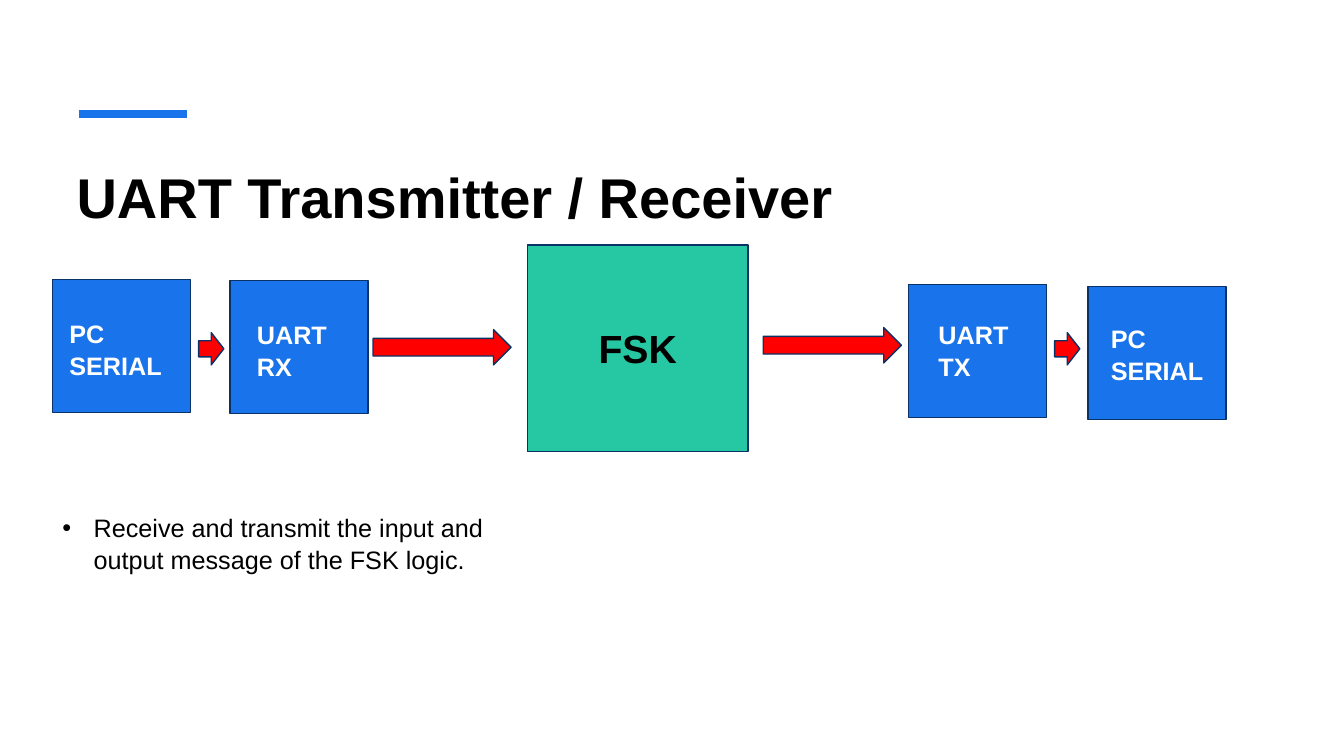
import pptx
import pptx.util
import pptx.dml.color
import pptx.enum.shapes
import pptx.enum.text
import pptx.oxml.ns
from lxml import etree

PX = 9144  # EMU, 100 px to the inch
FONT = "Arial"
COLORS = {
    "blue": "1973EB", "green": "25C8A2", "red": "FF0000",
    "outline": "0B3267", "black": "000000", "white": "FFFFFF",
}
SLIDE_SIZE = (1333, 750)
TITLE = "UART Transmitter / Receiver"
BULLET = "Receive and transmit the input and output message of the FSK logic."
BULLET_INDENT = 31

BLOCK_SIZE = (137, 132)
LABEL_SIZE = (120, 71)
# block left and top, label left and top, label lines
BLOCKS = [
    ((52, 277), (59, 309), ["PC", "SERIAL"]),
    ((228, 278), (245, 310), ["UART", "RX"]),
    ((901, 282), (921, 310), ["UART", "TX"]),
    ((1079, 284), (1092, 314), ["PC", "SERIAL"]),
]
FSK_BOX = (523, 243, 219, 205)
SHORT_ARROW = (25, 32)
LONG_ARROW = (137, 35)
ARROWS = [
    ((197, 330), SHORT_ARROW),
    ((370, 327), LONG_ARROW),
    ((757, 325), LONG_ARROW),
    ((1046, 330), SHORT_ARROW),
]

TITLE_STYLE = {"size": 40, "bold": True, "color": "black"}
LABEL_STYLE = {"size": 18, "bold": True, "color": "white"}
FSK_STYLE = {"size": 28, "bold": True, "color": "black"}
BODY_STYLE = {"size": 18, "bold": False, "color": "black"}


def rgb(name):
    return pptx.dml.color.RGBColor.from_string(COLORS[name])


def emu(lengths):
    return [length * PX for length in lengths]


def write_lines(frame, lines, style, paragraph_format):
    for index, line in enumerate(lines):
        paragraph = frame.paragraphs[0] if index == 0 else frame.add_paragraph()
        for name, value in paragraph_format.items():
            setattr(paragraph, name, value)
        run = paragraph.add_run()
        run.text = line
        font_format = {
            "name": FONT,
            "size": pptx.util.Pt(style["size"]),
            "bold": style["bold"],
        }
        for name, value in font_format.items():
            setattr(run.font, name, value)
        run.font.color.rgb = rgb(style["color"])


def add_text(slide, box, lines, style, line_spacing=1.0, left_inset=10, top_inset=5):
    frame = slide.shapes.add_textbox(*emu(box)).text_frame
    frame_format = {
        "word_wrap": True,
        "margin_left": left_inset * PX,
        "margin_top": top_inset * PX,
    }
    for name, value in frame_format.items():
        setattr(frame, name, value)
    write_lines(frame, lines, style, {"line_spacing": line_spacing})
    return frame


def add_preset(slide, kind, box, fill):
    preset = getattr(pptx.enum.shapes.MSO_SHAPE, kind)
    shape = slide.shapes.add_shape(preset, *emu(box))
    shape.shadow.inherit = False
    shape.fill.solid()
    shape.fill.fore_color.rgb = rgb(fill)
    shape.line.color.rgb = rgb("outline")
    shape.line.width = pptx.util.Pt(1)
    return shape


def add_accent_line(slide):
    line = slide.shapes.add_connector(
        pptx.enum.shapes.MSO_CONNECTOR.STRAIGHT, *emu((78, 113, 185, 113)))
    line.line.color.rgb = rgb("blue")
    line.line.width = pptx.util.Pt(6)
    etree.SubElement(line._element.spPr, pptx.oxml.ns.qn("a:effectLst"))


def add_bullet(paragraph):
    properties = paragraph._p.get_or_add_pPr()
    properties.set("marL", str(BULLET_INDENT * PX))
    properties.set("indent", str(-BULLET_INDENT * PX))
    font = etree.SubElement(properties, pptx.oxml.ns.qn("a:buFont"))
    font.set("typeface", FONT)
    character = etree.SubElement(properties, pptx.oxml.ns.qn("a:buChar"))
    character.set("char", "•")


def main():
    presentation = pptx.Presentation()
    presentation.slide_width, presentation.slide_height = emu(SLIDE_SIZE)
    slide = presentation.slides.add_slide(presentation.slide_layouts[6])

    add_accent_line(slide)
    add_text(slide, (70, 150, 1191, 120), [TITLE], TITLE_STYLE,
             left_inset=6, top_inset=11)

    for position, label_position, lines in BLOCKS:
        add_preset(slide, "RECTANGLE", position + BLOCK_SIZE, "blue")
        add_text(slide, label_position + LABEL_SIZE, lines, LABEL_STYLE, 1.06)

    for position, size in ARROWS:
        add_preset(slide, "RIGHT_ARROW", position + size, "red")

    fsk = add_preset(slide, "RECTANGLE", FSK_BOX, "green")
    fsk.text_frame.vertical_anchor = pptx.enum.text.MSO_ANCHOR.MIDDLE
    write_lines(fsk.text_frame, ["FSK"], FSK_STYLE,
                {"alignment": pptx.enum.text.PP_ALIGN.CENTER})

    body = add_text(slide, (52, 502, 439, 71), [BULLET], BODY_STYLE, 1.06)
    add_bullet(body.paragraphs[0])

    presentation.save("out.pptx")


if __name__ == "__main__":
    main()
